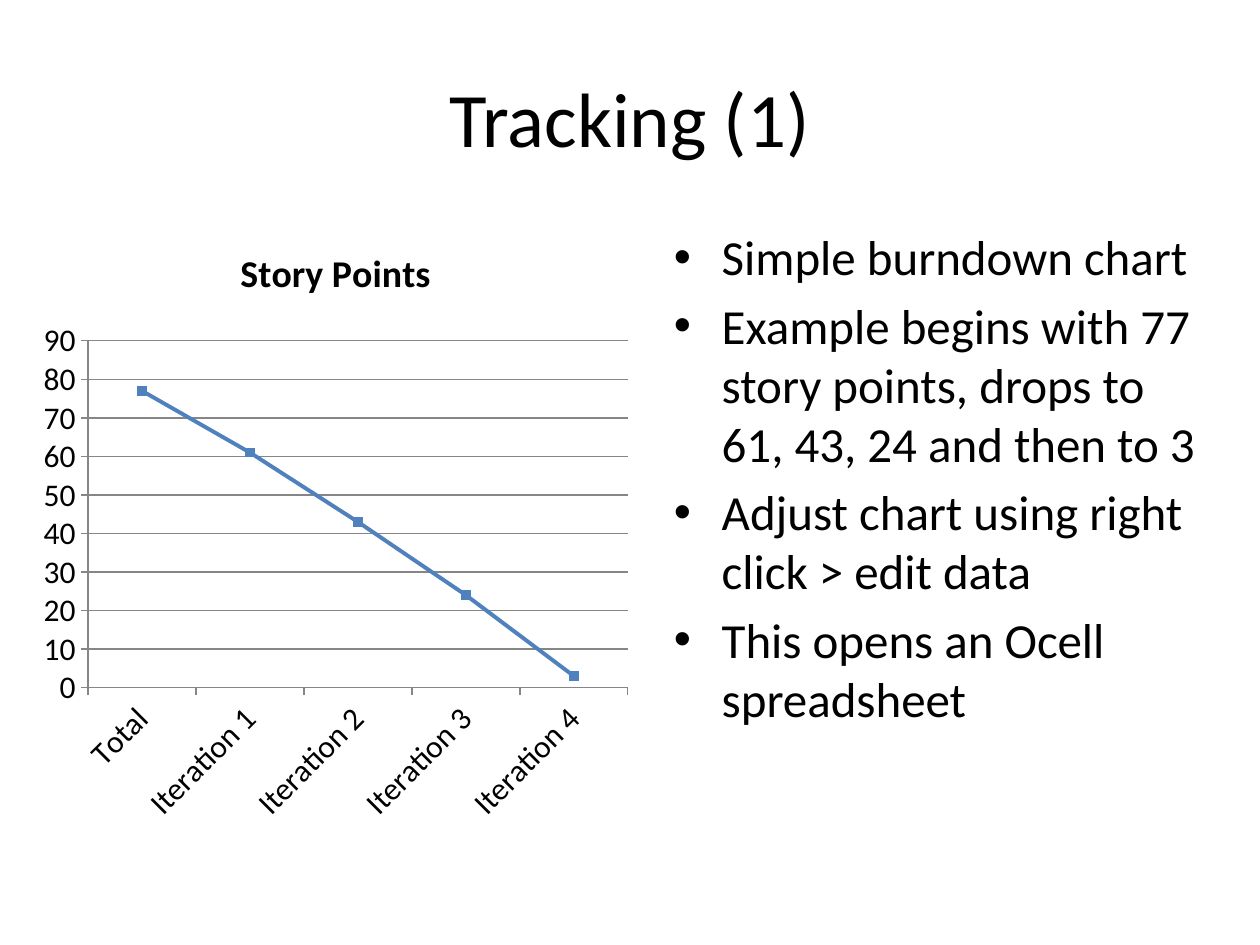
from pptx import Presentation
from pptx.chart.data import CategoryChartData
from pptx.dml.color import RGBColor
from pptx.enum.chart import XL_CHART_TYPE as ChartType, XL_MARKER_STYLE as Marker, XL_TICK_MARK as Tick
from pptx.enum.text import MSO_ANCHOR as Anchor, PP_ALIGN as Align
from pptx.oxml.ns import qn
from pptx.util import Inches, Pt

FONT = "Calibri"
BLACK, BLUE, GRAY = "000000", "4F81BD", "868686"


def color(hex_code):
    return RGBColor.from_string(hex_code)


def format_font(font, size, bold=False, fill=BLACK):
    font.name, font.size, font.bold = FONT, Pt(size), bold
    font.color.rgb = color(fill)


def format_line(line, fill, width):
    line.color.rgb = color(fill)
    line.width = Pt(width)


def write_text(paragraph, text, size=28, align=Align.LEFT, **font_format):
    paragraph.alignment = align
    run = paragraph.add_run()
    run.text = text
    format_font(run.font, size, **font_format)


def add_title(slide, text):
    title = slide.shapes.title
    title.left, title.top = Inches(0.5), Inches(0.3)
    title.width, title.height = Inches(9), Inches(1.25)
    title.text_frame.vertical_anchor = Anchor.MIDDLE
    write_text(title.text_frame.paragraphs[0], text, size=44, align=Align.CENTER)


def add_bullets(slide, items, left, top, width, height):
    box = slide.shapes.add_textbox(Inches(left), Inches(top), Inches(width), Inches(height))
    frame = box.text_frame
    frame.word_wrap = True
    for index, item in enumerate(items):
        paragraph = frame.add_paragraph() if index else frame.paragraphs[0]
        paragraph.space_before = Pt(5.6)
        write_text(paragraph, item)
        # Hanging bullet
        properties = paragraph._p.get_or_add_pPr()
        properties.set("marL", str(Inches(0.38)))
        properties.set("indent", str(-Inches(0.38)))
        font = properties.makeelement(qn("a:buFont"), {"typeface": "Arial"})
        bullet = properties.makeelement(qn("a:buChar"), {"char": "•"})
        properties.extend([font, bullet])


def format_axis(axis):
    axis.major_tick_mark, axis.minor_tick_mark = Tick.OUTSIDE, Tick.NONE
    format_font(axis.tick_labels.font, 18)
    format_line(axis.format.line, GRAY, 0.75)


def add_burndown_chart(slide, name, points, left, top, width, height):
    data = CategoryChartData()
    data.categories = list(points)
    data.add_series(name, list(points.values()))
    chart = slide.shapes.add_chart(ChartType.LINE_MARKERS, Inches(left), Inches(top),
                                   Inches(width), Inches(height), data).chart
    format_font(chart.font, 18)
    chart.has_legend = False
    chart.has_title = True
    write_text(chart.chart_title.text_frame.paragraphs[0], name, size=21.6,
               align=Align.CENTER, bold=True)

    # Axes
    for axis in (chart.category_axis, chart.value_axis):
        format_axis(axis)
    value_axis = chart.value_axis
    value_axis.minimum_scale, value_axis.maximum_scale, value_axis.major_unit = 0, 90, 10
    value_axis.has_major_gridlines = True
    format_line(value_axis.major_gridlines.format.line, GRAY, 0.75)
    label_body = chart.category_axis._element.find(qn("c:txPr")).find(qn("a:bodyPr"))
    label_body.set("rot", str(-45 * 60000))
    label_body.set("vert", "horz")

    # Burndown line
    plot = chart.plots[0]
    plot.vary_by_categories = False
    series = plot.series[0]
    series.smooth = False
    format_line(series.format.line, BLUE, 2.25)
    series.marker.style, series.marker.size = Marker.SQUARE, 5
    series.marker.format.fill.solid()
    series.marker.format.fill.fore_color.rgb = color(BLUE)
    format_line(series.marker.format.line, BLUE, 0.75)


def main():
    presentation = Presentation()
    presentation.slide_width, presentation.slide_height = Inches(10), Inches(7.5)
    slide = presentation.slides.add_slide(presentation.slide_layouts[5])

    add_title(slide, "Tracking (1)")
    add_bullets(slide, [
        "Simple burndown chart",
        "Example begins with 77 story points, drops to 61, 43, 24 and then to 3",
        "Adjust chart using right click > edit data",
        "This opens an Ocell spreadsheet",
    ], 5.25, 1.75, 4.5, 4.95)
    points = {"Total": 77, "Iteration 1": 61, "Iteration 2": 43,
              "Iteration 3": 24, "Iteration 4": 3}
    add_burndown_chart(slide, "Story Points", points, 0.25, 1.75, 4.83, 4.87)

    presentation.save("out.pptx")


main()
